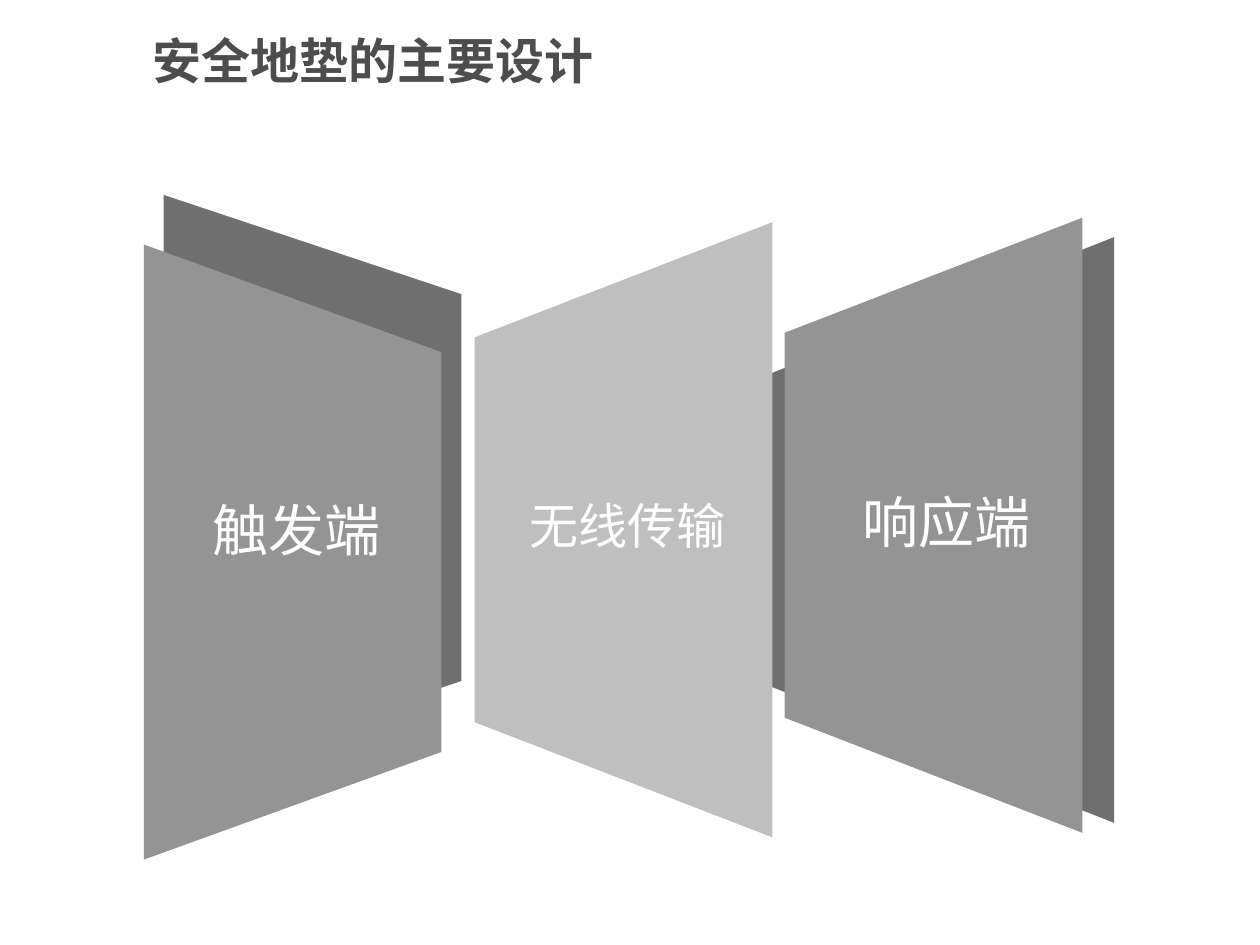
import lxml.etree
import pptx
import pptx.dml.color
import pptx.enum.text
import pptx.oxml.ns
import pptx.util
from pptx.util import Cm

WHITE = pptx.dml.color.RGBColor(0xFF, 0xFF, 0xFF)
TITLE_GRAY = pptx.dml.color.RGBColor(0x4D, 0x4D, 0x4D)
DARK_GRAY = pptx.dml.color.RGBColor(0x6F, 0x6F, 0x6F)
MIDDLE_GRAY = pptx.dml.color.RGBColor(0x94, 0x94, 0x94)
LIGHT_GRAY = pptx.dml.color.RGBColor(0xBF, 0xBF, 0xBF)
CHINESE_FONT = "Noto Sans CJK SC"
PANEL_WIDTH = 6
PANEL_HEIGHT = 12.4


def add_text(slide, text, box, size, color=WHITE, font=CHINESE_FONT, bold=False,
             align=pptx.enum.text.PP_ALIGN.CENTER, wrap=True):
    """Place one line of formatted text in a box given in centimetres."""
    shape = slide.shapes.add_textbox(*(Cm(length) for length in box))
    frame = shape.text_frame
    frame.word_wrap = wrap
    frame.vertical_anchor = pptx.enum.text.MSO_ANCHOR.MIDDLE
    paragraph = frame.paragraphs[0]
    paragraph.alignment = align
    run = paragraph.add_run()
    run.text = text
    run.font.size = pptx.util.Pt(size)
    run.font.bold = bold
    run.font.color.rgb = color
    run.font.name = font
    east_asian = lxml.etree.SubElement(run.font._element, pptx.oxml.ns.qn("a:ea"))
    east_asian.set("typeface", CHINESE_FONT)


def add_panel(slide, box, color, left_inset=0, right_inset=0):
    """Draw an upright trapezoid whose left or right side is shortened at both ends."""
    left, top, width, height = box
    right, bottom = left + width, top + height
    corners = [
        (left, top + left_inset),
        (right, top + right_inset),
        (right, bottom - right_inset),
        (left, bottom - left_inset),
    ]
    points = [(Cm(x), Cm(y)) for x, y in corners]
    builder = slide.shapes.build_freeform(*points[0])
    builder.add_line_segments(points[1:], close=True)
    shape = builder.convert_to_shape()
    shape.shadow.inherit = False
    shape.fill.solid()
    shape.fill.fore_color.rgb = color
    shape.line.fill.background()


def add_title(slide, box):
    """Place the slide title."""
    add_text(slide, "安全地垫的主要设计", box, 28, color=TITLE_GRAY, bold=True,
             align=pptx.enum.text.PP_ALIGN.LEFT)


def add_response(slide, box):
    """Draw the response panel with the wide panel behind it."""
    left, top, width, height = box
    add_panel(slide, (left - 4.36, top + 0.39, 11, 11.81), DARK_GRAY, left_inset=4.37)
    add_panel(slide, box, MIDDLE_GRAY, left_inset=2.32)
    add_text(slide, "响应端", (left + 1.32, top + 5.31, 3.89, 1.63), 32, wrap=False)


def add_transmission(slide, box):
    """Draw the wireless transmission panel."""
    left, top, width, height = box
    add_panel(slide, box, LIGHT_GRAY, left_inset=2.32)
    add_text(slide, "无线传输", (left + 0.76, top + 5.38, 4.65, 1.45), 28,
             font="Times New Roman")


def add_trigger(slide, box):
    """Draw the trigger panel with the panel behind it."""
    left, top, width, height = box
    add_panel(slide, (left + 0.4, top - 1, width, 11.8), DARK_GRAY, right_inset=2)
    add_panel(slide, box, MIDDLE_GRAY, right_inset=2.17)
    add_text(slide, "触发端", (left + 1.14, top + 4.93, 3.89, 1.63), 32, wrap=False)


def main():
    """Build and save the slide."""
    presentation = pptx.Presentation()
    presentation.slide_width = Cm(25.4)
    presentation.slide_height = Cm(19.05)
    slide = presentation.slides.add_slide(presentation.slide_layouts[6])
    add_response(slide, (15.82, 4.39, PANEL_WIDTH, PANEL_HEIGHT))
    add_transmission(slide, (9.57, 4.48, PANEL_WIDTH, PANEL_HEIGHT))
    add_trigger(slide, (2.9, 4.93, PANEL_WIDTH, PANEL_HEIGHT))
    add_title(slide, (2.83, -0.2, 15.43, 2.82))
    presentation.save("out.pptx")


if __name__ == "__main__":
    main()
